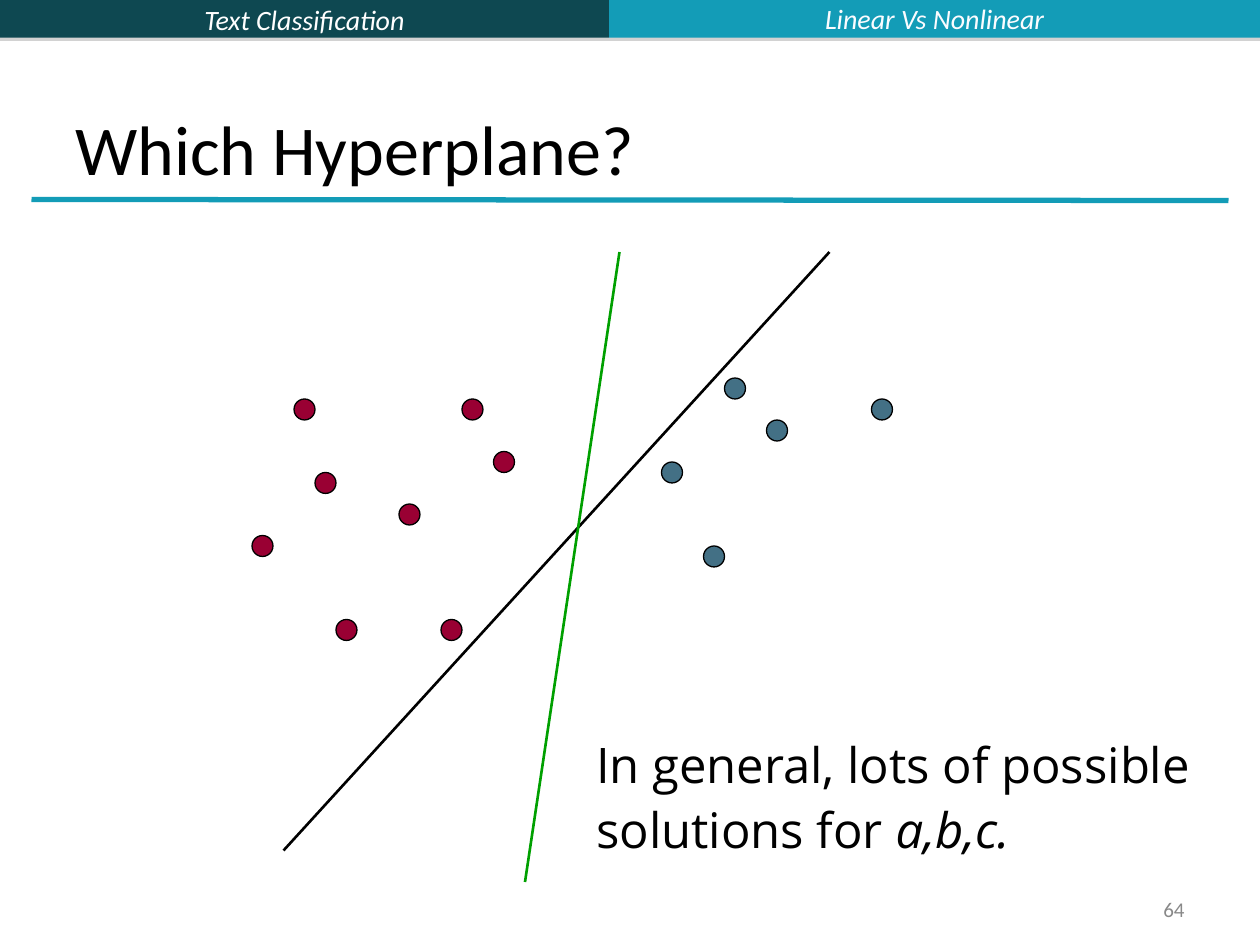
from typing import NamedTuple

from lxml import etree
from pptx import Presentation
from pptx.dml.color import RGBColor
from pptx.enum.shapes import MSO_CONNECTOR, MSO_SHAPE
from pptx.enum.text import MSO_ANCHOR, PP_ALIGN
from pptx.oxml.ns import qn
from pptx.util import Pt

SCALE = 7620  # EMU per px, 120 px to the inch
RECT, OVAL = MSO_SHAPE.RECTANGLE, MSO_SHAPE.OVAL
STRAIGHT = MSO_CONNECTOR.STRAIGHT
LEFT, CENTER, RIGHT = PP_ALIGN.LEFT, PP_ALIGN.CENTER, PP_ALIGN.RIGHT
TOP, MIDDLE, BOTTOM = MSO_ANCHOR.TOP, MSO_ANCHOR.MIDDLE, MSO_ANCHOR.BOTTOM

BLACK, WHITE, TEAL = "000000", "FFFFFF", "139CB7"
DOT = 20


class Box(NamedTuple):
    x: int
    y: int
    w: int
    h: int


class Style(NamedTuple):
    size: int
    color: str
    align: PP_ALIGN = LEFT
    anchor: MSO_ANCHOR = TOP
    font: str = "Calibri"
    italic: bool = False


class Bar(NamedTuple):
    box: Box
    fill: str


class Line(NamedTuple):
    x1: int
    y1: int
    x2: int
    y2: int
    color: str
    width: float


class Group(NamedTuple):
    fill: str
    spots: list[tuple[int, int]]


class Label(NamedTuple):
    box: Box
    text: str
    style: Style


BARS = [
    Bar(Box(0, 0, 580, 36), "0E4851"),
    Bar(Box(580, 0, 620, 36), TEAL),
]
LINES = [
    Line(30, 190, 1170, 191, TEAL, 3),
    Line(270, 810, 790, 240, BLACK, 1.5),
    Line(500, 840, 590, 240, "00A000", 1.5),
]
GROUPS = [
    Group("990033", [(280, 380), (300, 450), (320, 590), (440, 380),
                     (240, 510), (380, 480), (470, 430), (420, 590)]),
    Group("437085", [(630, 440), (670, 520), (690, 360), (830, 380),
                     (730, 400)]),
]
HEAD = Style(16, WHITE, CENTER, MIDDLE, italic=True)
LABELS = [
    Label(Box(580, -5, 620, 44), "Linear Vs Nonlinear",
          HEAD._replace(color="FBFCFF")),
    Label(Box(60, 36, 1080, 150), "Which Hyperplane?",
          Style(40, BLACK, anchor=BOTTOM)),
    Label(Box(860, 850, 280, 32), "64",
          Style(12, "898989", RIGHT, MIDDLE)),
]


def px(value: int) -> int:
    return value * SCALE


def rgb(color: str) -> RGBColor:
    return RGBColor.from_string(color)


def place(box: Box) -> list[int]:
    return [px(side) for side in box]


def write(shape, text: str, style: Style) -> None:
    frame = shape.text_frame
    frame.text = text
    frame.word_wrap = True
    frame.vertical_anchor = style.anchor
    for para in frame.paragraphs:
        para.alignment = style.align
        for run in para.runs:
            run.font.size = Pt(style.size)
            run.font.name = style.font
            run.font.italic = style.italic
            run.font.color.rgb = rgb(style.color)


def add_label(slide, label: Label):
    shape = slide.shapes.add_textbox(*place(label.box))
    write(shape, label.text, label.style)
    return shape


def drop_shadow(shape) -> None:
    effects = shape._element.spPr.find(qn("a:effectLst"))
    shadow = etree.SubElement(effects, qn("a:outerShdw"), blurRad="0",
                              dist="22860", dir="5400000", rotWithShape="0")
    color = etree.SubElement(shadow, qn("a:srgbClr"), val="808080")
    etree.SubElement(color, qn("a:alpha"), val="35000")


def add_bar(slide, bar: Bar):
    shape = slide.shapes.add_shape(RECT, *place(bar.box))
    shape.shadow.inherit = False
    shape.fill.solid()
    shape.fill.fore_color.rgb = rgb(bar.fill)
    shape.line.fill.background()
    drop_shadow(shape)
    return shape


def add_line(slide, line: Line) -> None:
    ends = [px(end) for end in line[:4]]
    shape = slide.shapes.add_connector(STRAIGHT, *ends)
    shape.line.color.rgb = rgb(line.color)
    shape.line.width = Pt(line.width)
    etree.SubElement(shape._element.spPr, qn("a:effectLst"))


def add_dots(slide, group: Group) -> None:
    for x, y in group.spots:
        dot = slide.shapes.add_shape(OVAL, *place(Box(x, y, DOT, DOT)))
        dot.shadow.inherit = False
        dot.fill.solid()
        dot.fill.fore_color.rgb = rgb(group.fill)
        dot.line.color.rgb = rgb(BLACK)
        dot.line.width = Pt(0.75)


def add_note(slide) -> None:
    style = Style(28, BLACK, font="Open Sans")
    text = "In general, lots of possible\nsolutions for "
    note = add_label(slide, Label(Box(556, 700, 601, 136), text, style))
    frame = note.text_frame
    frame.word_wrap = False
    last = frame.paragraphs[1]
    last.space_before = Pt(7)
    for para in frame.paragraphs:
        para.line_spacing = 0.9
    run = last.add_run()
    run.text = "a,b,c."
    run.font.size = Pt(style.size)
    run.font.name = style.font
    run.font.italic = True
    run.font.color.rgb = rgb(style.color)


def main() -> None:
    deck = Presentation()
    deck.slide_width, deck.slide_height = px(1200), px(900)
    slide = deck.slides.add_slide(deck.slide_layouts[6])
    bars = [add_bar(slide, bar) for bar in BARS]
    write(bars[0], "Text Classification", HEAD)
    for group in GROUPS:
        add_dots(slide, group)
    for line in LINES:
        add_line(slide, line)
    for label in LABELS:
        add_label(slide, label)
    add_note(slide)
    deck.save("out.pptx")


if __name__ == "__main__":
    main()
